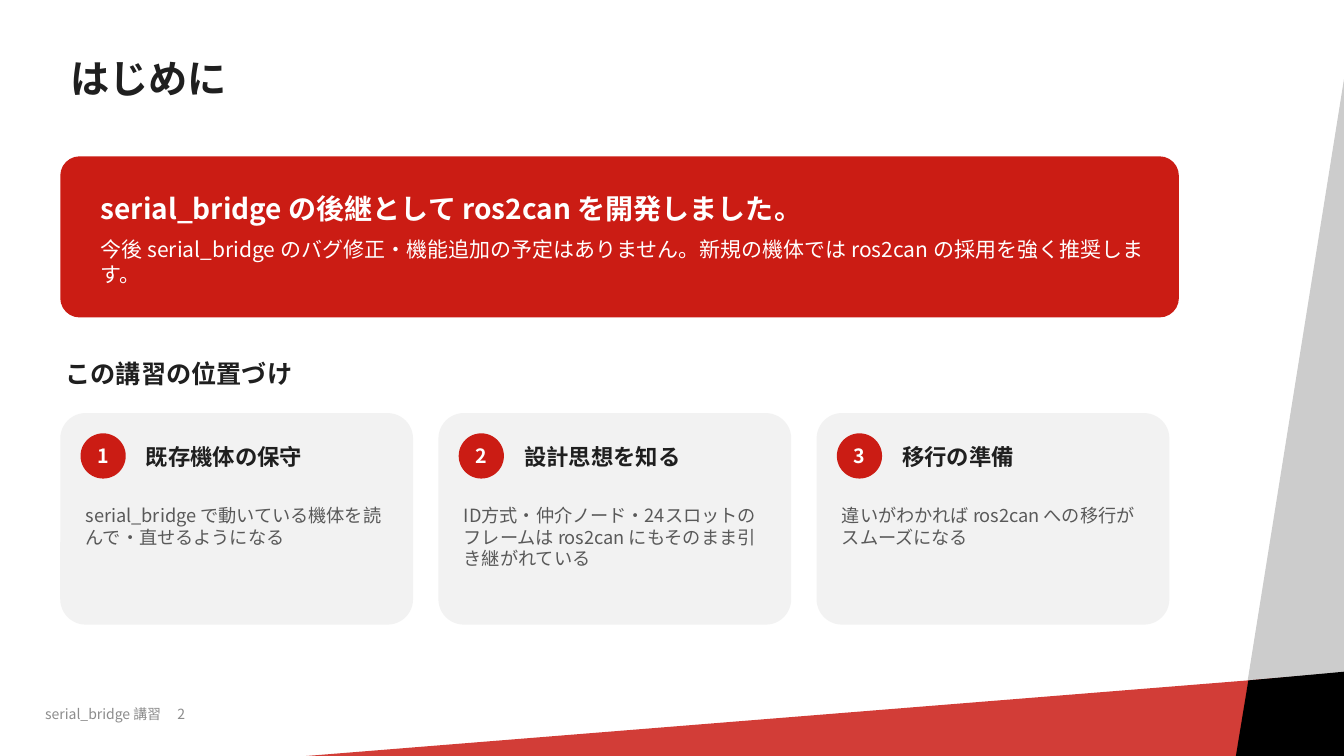
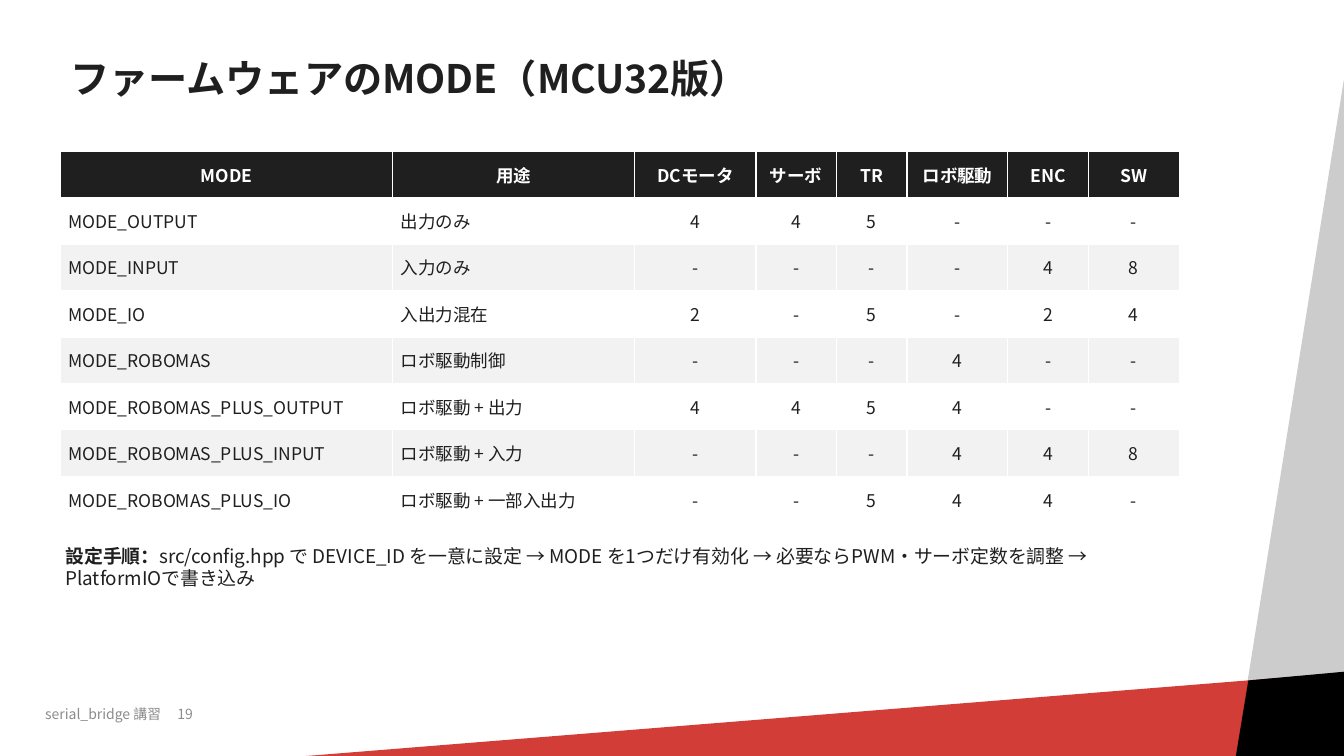
from lxml import etree
from pptx import Presentation
from pptx.dml.color import RGBColor
from pptx.enum.shapes import MSO_SHAPE as Shape
from pptx.enum.text import MSO_ANCHOR as Anchor, MSO_AUTO_SIZE as AutoSize, PP_ALIGN as Align
from pptx.oxml.ns import qn
from pptx.util import Cm, Pt

FONT = "Noto Sans CJK JP"
COLORS = {
    "red": "CB1C14", "ink": "1F1F1F", "white": "FFFFFF", "panel": "F2F2F2",
    "body": "595959", "muted": "8C8C8C", "silver": "CCCCCC", "black": "000000",
}
LEFT = 1.52
WIDTH = 28.19


def rgb(color):
    return RGBColor.from_string(COLORS[color])


def style(span, size, color, bold=False):
    span.font.size = Pt(size)
    span.font.bold = bold
    span.font.color.rgb = rgb(color)
    span.font.name = FONT
    east_asian = etree.SubElement(span.font._element, qn("a:ea"))
    east_asian.set("typeface", FONT)


def write(para, text, size, color, bold=False, after=4, align=Align.LEFT):
    para.text = text
    para.alignment = align
    para.space_after = Pt(after)
    for span in para.runs:
        style(span, size, color, bold)


def set_margins(target, side, end):
    target.margin_left = target.margin_right = Cm(side)
    target.margin_top = target.margin_bottom = Cm(end)


def outline_cell(cell, color):
    properties = cell._tc.get_or_add_tcPr()
    for side in ("a:lnL", "a:lnR", "a:lnT", "a:lnB"):
        line = etree.SubElement(properties, qn(side), w=str(Pt(1)))
        fill = etree.SubElement(line, qn("a:solidFill"))
        etree.SubElement(fill, qn("a:srgbClr"), val=COLORS[color])


class Lecture:
    def __init__(self):
        self.deck = Presentation()
        self.deck.slide_width, self.deck.slide_height = Cm(33.87), Cm(19.05)
        self.layout = self.deck.slide_layouts[5]
        for holder in list(self.layout.placeholders)[1:]:
            holder._element.getparent().remove(holder._element)
        self.page = None

    def add_page(self, title, number):
        self.page = self.deck.slides.add_slide(self.layout)
        if len(self.deck.slides) == 1:
            self.decorate_layout()
        holder = self.page.shapes.title
        holder.left, holder.top = Cm(LEFT), Cm(0.89)
        holder.width, holder.height = Cm(21.84), Cm(2.29)
        frame = holder.text_frame
        frame.auto_size = AutoSize.NONE
        frame.vertical_anchor = Anchor.MIDDLE
        write(frame.paragraphs[0], title, 28, "ink", True)
        frame.paragraphs[0].line_spacing = 0.9
        self.footer(number)

    def decorate_layout(self):
        """Draw the slanted bands and move them behind the layout's title."""
        side = self.shape(Shape.RECTANGLE, 15.98, 15.93, 34.72, 3.99, "silver")
        side.rotation = 279.1
        base = self.shape(Shape.RECTANGLE, 1.5, 18.16, 34.72, 2.92, "red")
        base.rotation = 355.4
        color = base._element.spPr.find(qn("a:solidFill"))[0]
        etree.SubElement(color, qn("a:alpha"), val="85000")
        corner = self.shape(Shape.PARALLELOGRAM, 30.81, 16.99, 4.88, 3, "black", 0.26)
        corner.rotation = 354.8
        tree = self.layout.shapes._spTree
        for position, band in enumerate((side, base, corner), start=2):
            tree.insert(position, band._element)

    def footer(self, number):
        box = self.text([], 1.14, 17.78, 10.16, 0.76, margin=0)
        para = box.text_frame.paragraphs[0]
        tabs = etree.SubElement(para._p.get_or_add_pPr(), qn("a:tabLst"))
        etree.SubElement(tabs, qn("a:tab"), pos=str(Cm(3.33)), algn="l")
        write(para, f"serial_bridge 講習\t{number}", 10, "muted")

    def shape(self, kind, left, top, width, height, color, adjustment=None):
        shape = self.page.shapes.add_shape(kind, Cm(left), Cm(top), Cm(width), Cm(height))
        shape.shadow.inherit = False
        shape.fill.solid()
        shape.fill.fore_color.rgb = rgb(color)
        shape.line.fill.background()
        if adjustment is not None:
            shape.adjustments[0] = adjustment
        return shape

    def panel(self, left, top, width, height, color):
        return self.shape(Shape.ROUNDED_RECTANGLE, left, top, width, height, color, 0.12)

    def text(self, lines, left, top, width, height, anchor=Anchor.TOP, margin=0.13, after=4):
        """Each line is (text, size, color, bold)."""
        box = self.page.shapes.add_textbox(Cm(left), Cm(top), Cm(width), Cm(height))
        frame = box.text_frame
        frame.word_wrap = True
        frame.vertical_anchor = anchor
        set_margins(frame, margin, margin)
        for index, line in enumerate(lines):
            para = frame.add_paragraph() if index else frame.paragraphs[0]
            write(para, *line, after=after)
        return box

    def banner(self, heading, detail):
        self.panel(LEFT, 3.94, WIDTH, 4.06, "red")
        lines = [(heading, 20, "white", True), (detail, 15, "white", False)]
        self.text(lines, 2.41, 4.32, 26.67, 3.43, Anchor.MIDDLE, after=8)

    def card(self, number, left, top, heading, detail):
        self.panel(left, top, 8.89, 5.33, "panel")
        badge = self.shape(Shape.OVAL, left + 0.51, top + 0.51, 1.14, 1.14, "red")
        frame = badge.text_frame
        frame.word_wrap = False
        frame.vertical_anchor = Anchor.MIDDLE
        set_margins(frame, 0, 0)
        write(frame.paragraphs[0], str(number), 14, "white", True, 0, Align.CENTER)
        self.text([(heading, 16, "ink", True)], left + 2.03, top + 0.46, 6.6, 1.27,
                  Anchor.MIDDLE)
        self.text([(detail, 13, "body", False)], left + 0.51, top + 2.16, 7.87, 3.05)

    def table(self, rows, widths, top, row_height, text_columns):
        """The first text_columns columns are left-aligned below the header."""
        table = self.page.shapes.add_table(
            len(rows), len(widths), Cm(LEFT), Cm(top),
            Cm(sum(widths)), Cm(row_height * len(rows))).table
        table.horz_banding = False
        for column, width in zip(table.columns, widths):
            column.width = Cm(width)
        for r, values in enumerate(rows):
            table.rows[r].height = Cm(row_height)
            header = r == 0
            background = "ink" if header else ("white" if r % 2 else "panel")
            for c, value in enumerate(values):
                cell = table.cell(r, c)
                outline_cell(cell, "white")
                cell.fill.solid()
                cell.fill.fore_color.rgb = rgb(background)
                cell.vertical_anchor = Anchor.MIDDLE
                set_margins(cell, 0.2, 0.08)
                align = Align.LEFT if c < text_columns and not header else Align.CENTER
                write(cell.text_frame.paragraphs[0], value, 12.5,
                      "white" if header else "ink", header, 0, align)

    def note(self, label, detail, top):
        box = self.text([(label, 13.5, "ink", True)], LEFT, top, WIDTH, 2.54)
        span = box.text_frame.paragraphs[0].add_run()
        span.text = detail
        style(span, 13.5, "ink")


def main():
    lecture = Lecture()

    lecture.add_page("はじめに", 2)
    lecture.banner(
        "serial_bridge の後継として ros2can を開発しました。",
        "今後 serial_bridge のバグ修正・機能追加の予定はありません。"
        "新規の機体では ros2can の採用を強く推奨します。")
    lecture.text([("この講習の位置づけ", 18, "ink", True)], LEFT, 8.89, 27.94, 1.27)
    cards = [
        ("既存機体の保守", "serial_bridge で動いている機体を読んで・直せるようになる"),
        ("設計思想を知る",
         "ID方式・仲介ノード・24スロットのフレームは ros2can にもそのまま引き継がれている"),
        ("移行の準備", "違いがわかれば ros2can への移行がスムーズになる"),
    ]
    for index, (heading, detail) in enumerate(cards):
        lecture.card(index + 1, LEFT + 9.53 * index, 10.41, heading, detail)

    lecture.add_page("ファームウェアのMODE（MCU32版）", 19)
    modes = [
        ("MODE", "用途", "DCモータ", "サーボ", "TR", "ロボ駆動", "ENC", "SW"),
        ("MODE_OUTPUT", "出力のみ", *"445---"),
        ("MODE_INPUT", "入力のみ", *"----48"),
        ("MODE_IO", "入出力混在", *"2-5-24"),
        ("MODE_ROBOMAS", "ロボ駆動制御", *"---4--"),
        ("MODE_ROBOMAS_PLUS_OUTPUT", "ロボ駆動 + 出力", *"4454--"),
        ("MODE_ROBOMAS_PLUS_INPUT", "ロボ駆動 + 入力", *"---448"),
        ("MODE_ROBOMAS_PLUS_IO", "ロボ駆動 + 一部入出力", *"--544-"),
    ]
    widths = [8.38, 6.1, 3.05, 2.03, 1.78, 2.54, 2.03, 2.29]
    lecture.table(modes, widths, 3.81, 1.17, text_columns=2)
    lecture.note(
        "設定手順：",
        "src/config.hpp で DEVICE_ID を一意に設定 → MODE を1つだけ有効化 → "
        "必要ならPWM・サーボ定数を調整 → PlatformIOで書き込み", 13.59)

    lecture.deck.save("out.pptx")


if __name__ == "__main__":
    main()
